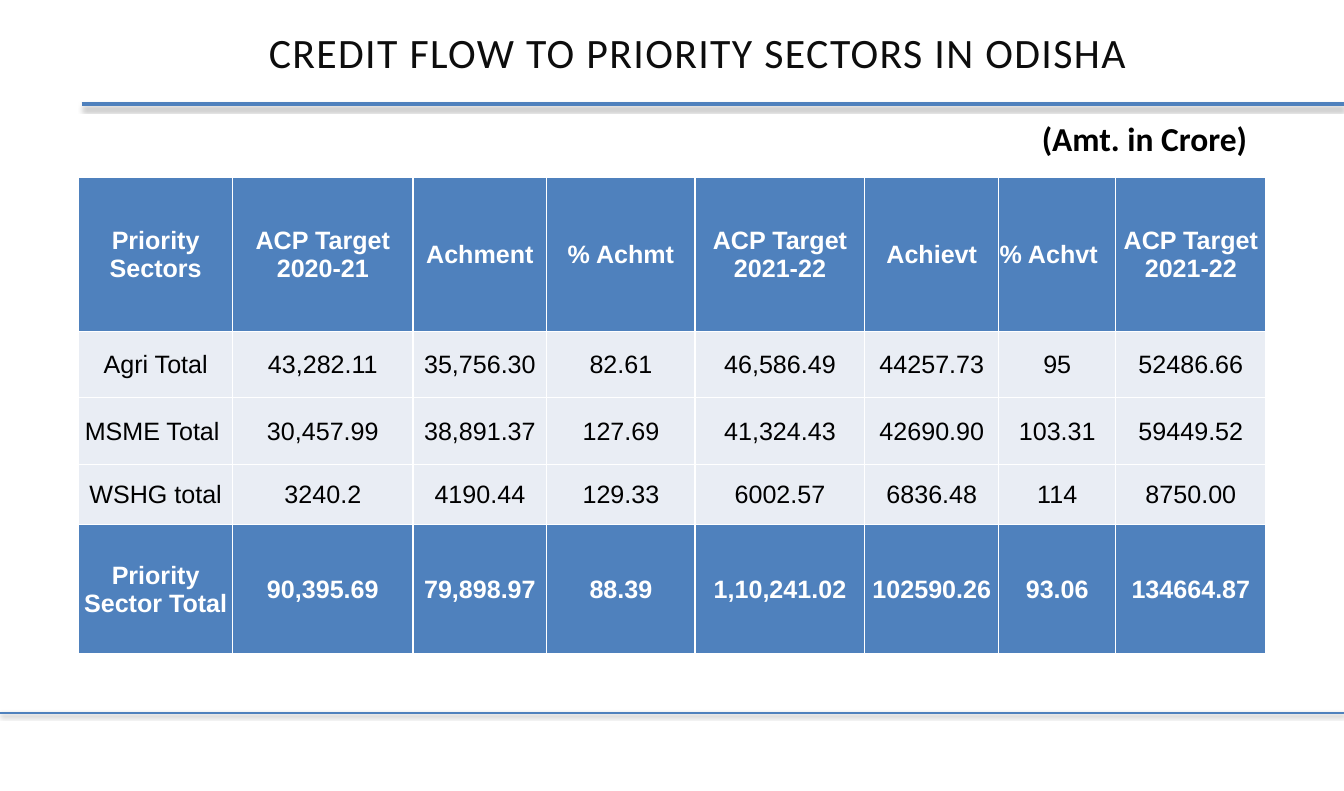
"""Build the slide on credit flow to priority sectors in Odisha."""
from lxml.etree import SubElement
from pptx import Presentation
from pptx.dml.color import RGBColor
from pptx.enum.shapes import MSO_CONNECTOR
from pptx.enum.text import MSO_ANCHOR, MSO_AUTO_SIZE, PP_ALIGN
from pptx.oxml.ns import qn
from pptx.util import Pt

TITLE = "CREDIT FLOW TO PRIORITY SECTORS IN ODISHA"
UNIT_NOTE = "(Amt. in Crore)"
ROWS = [
    ("Priority Sectors", "ACP Target 2020-21", "Achment", "% Achmt",
     "ACP Target 2021-22", "Achievt", "% Achvt", "ACP Target 2021-22"),
    ("Agri Total", "43,282.11", "35,756.30", "82.61",
     "46,586.49", "44257.73", "95", "52486.66"),
    ("MSME Total ", "30,457.99", "38,891.37", "127.69",
     "41,324.43", "42690.90", "103.31", "59449.52"),
    ("WSHG total", "3240.2", "4190.44", "129.33",
     "6002.57", "6836.48", "114", "8750.00"),
    ("Priority Sector Total", "90,395.69", "79,898.97", "88.39",
     "1,10,241.02", "102590.26", "93.06", "134664.87"),
]
COLUMN_WIDTHS = [110.5, 129.3, 96, 106.4, 121.8, 96, 84, 107.7]
ROW_HEIGHTS = [110, 47.8, 47.6, 43.5, 92.7]
EMPHASIS_ROWS = (0, len(ROWS) - 1)
LEFT_ALIGNED_CELL = (0, 6)
RULES = [
    {"left": 58.6, "right": 964, "top": 74.7, "width": 3, "opacity": 35, "distance": 1.8},
    {"left": 0, "right": 964, "top": 511.4, "width": 2, "opacity": 38, "distance": 1.6},
]
BLUE, PALE, WHITE, BLACK, INK = "4F81BD", "E9EDF4", "FFFFFF", "000000", "0D0D0D"


def color(value):
    return RGBColor.from_string(value)


def set_font(paragraph, name, size, shade, bold=False):
    font = paragraph.font
    font.name, font.size, font.bold = name, Pt(size), bold
    font.color.rgb = color(shade)


def add_title(page):
    title = page.shapes.title
    title.left, title.top, title.width, title.height = Pt(67), Pt(20.9), Pt(867.6), Pt(38.9)
    frame = title.text_frame
    frame.text = TITLE
    frame.word_wrap = True
    frame.auto_size = MSO_AUTO_SIZE.NONE
    frame.vertical_anchor = MSO_ANCHOR.MIDDLE
    para = frame.paragraphs[0]
    para.alignment = PP_ALIGN.CENTER
    para.line_spacing = 0.8
    set_font(para, "Calibri", 30, INK)
    para.runs[0]._r.get_or_add_rPr().set("spc", "100")


def add_rule(page, rule):
    top = Pt(rule["top"])
    line = page.shapes.add_connector(
        MSO_CONNECTOR.STRAIGHT, Pt(rule["left"]), top, Pt(rule["right"]), top)
    line.line.color.rgb = color(BLUE)
    line.line.width = Pt(rule["width"])
    effects = SubElement(line._element.spPr, qn("a:effectLst"))
    shadow = SubElement(effects, qn("a:outerShdw"), blurRad=str(Pt(3.1)),
                        dist=str(Pt(rule["distance"])), dir="5400000", rotWithShape="0")
    shade = SubElement(shadow, qn("a:srgbClr"), val=BLACK)
    SubElement(shade, qn("a:alpha"), val=str(rule["opacity"] * 1000))


def add_borders(cell):
    properties = cell._tc.get_or_add_tcPr()
    for position, side in enumerate(("a:lnL", "a:lnR", "a:lnT", "a:lnB")):
        border = SubElement(properties, qn(side), w=str(Pt(1)))
        properties.insert(position, border)
        fill = SubElement(border, qn("a:solidFill"))
        SubElement(fill, qn("a:srgbClr"), val=WHITE)


def add_credit_table(page):
    table = page.shapes.add_table(
        len(ROWS), len(COLUMN_WIDTHS), Pt(56.4), Pt(127.6),
        Pt(sum(COLUMN_WIDTHS)), Pt(sum(ROW_HEIGHTS))).table
    for column, width in zip(table.columns, COLUMN_WIDTHS):
        column.width = Pt(width)
    for row, height in zip(table.rows, ROW_HEIGHTS):
        row.height = Pt(height)
    for row_index, values in enumerate(ROWS):
        strong = row_index in EMPHASIS_ROWS
        for column_index, value in enumerate(values):
            cell = table.cell(row_index, column_index)
            cell.text = value
            cell.vertical_anchor = MSO_ANCHOR.MIDDLE
            cell.margin_left = cell.margin_right = cell.margin_top = Pt(0.7)
            cell.margin_bottom = 0
            cell.fill.solid()
            cell.fill.fore_color.rgb = color(BLUE if strong else PALE)
            add_borders(cell)
            para = cell.text_frame.paragraphs[0]
            left = (row_index, column_index) == LEFT_ALIGNED_CELL
            para.alignment = PP_ALIGN.LEFT if left else PP_ALIGN.CENTER
            set_font(para, "Arial", 18, WHITE if strong else BLACK, strong)


def add_unit_note(page):
    box = page.shapes.add_textbox(Pt(740.2), Pt(81.4), Pt(167.8), Pt(36))
    frame = box.text_frame
    frame.text = UNIT_NOTE
    frame.word_wrap = True
    frame.auto_size = MSO_AUTO_SIZE.SHAPE_TO_FIT_TEXT
    set_font(frame.paragraphs[0], "Calibri", 24, BLACK, True)


def main():
    deck = Presentation()
    deck.slide_width, deck.slide_height = Pt(964), Pt(567.4)
    page = deck.slides.add_slide(deck.slide_layouts[5])
    add_title(page)
    for rule in RULES:
        add_rule(page, rule)
    add_credit_table(page)
    add_unit_note(page)
    deck.save("out.pptx")


if __name__ == "__main__":
    main()
